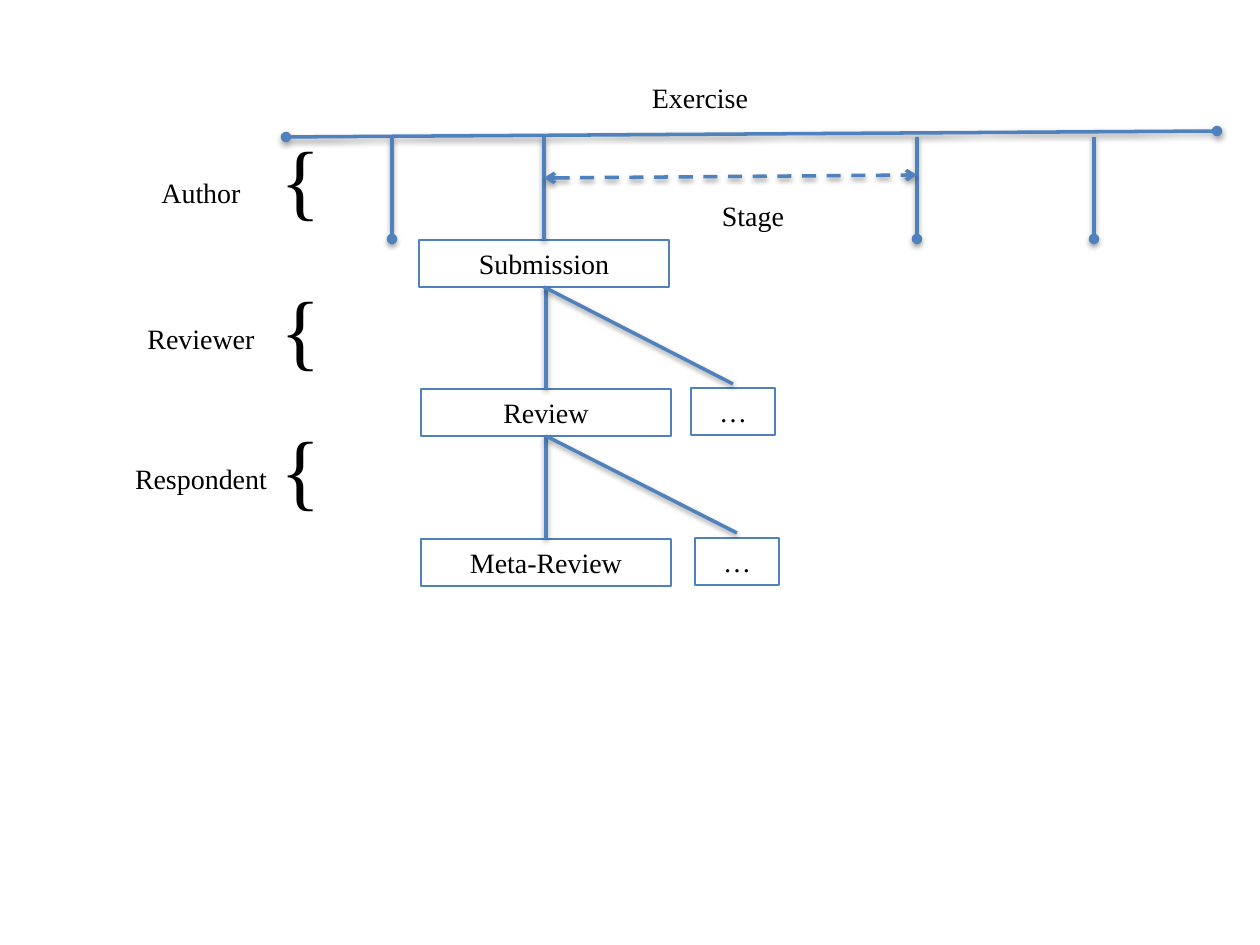
import dataclasses
import typing

import lxml.etree
import pptx
import pptx.dml.color
import pptx.enum.dml
import pptx.enum.shapes
import pptx.enum.text
import pptx.oxml
import pptx.oxml.ns
import pptx.util

EMU_PER_PX = 914400 / 126
FONT = "Times New Roman"
BLUE = "4F81BD"
BLACK = "000000"
LABEL_W, LABEL_H = 226, 47
BOX_W, MORE_W, BOX_H = 250, 84, 47
BRACE_X, BRACE_W, BRACE_H = 268, 60, 115
ROLE_X = 88
STEM_TOP, STEM_BOTTOM = 137, 239
TOP, BOTTOM = 0, 2

SHADOW = (
    f'<a:effectLst {pptx.oxml.ns.nsdecls("a")}>'
    '<a:outerShdw blurRad="40000" dist="20000" dir="5400000" rotWithShape="0">'
    f'<a:srgbClr val="{BLACK}"><a:alpha val="38000"/></a:srgbClr>'
    '</a:outerShdw></a:effectLst>'
)


@dataclasses.dataclass
class Label:
    text: str
    x: int
    y: int
    w: int = LABEL_W
    h: int = LABEL_H
    size: int = 16


@dataclasses.dataclass
class Box:
    text: str
    x: int
    y: int
    w: int = BOX_W


@dataclasses.dataclass
class Line:
    x1: int
    y1: int
    x2: int
    y2: int
    head: str = ""
    tail: str = ""
    dashed: bool = False
    begin: str = ""  # box whose bottom the line leaves
    end: str = ""  # box whose top the line reaches


LABELS = [Label("Exercise", 587, 74), Label("Stage", 640, 192)]
for role, role_y, brace_y in [("Author", 169, 120), ("Reviewer", 315, 270), ("Respondent", 455, 410)]:
    LABELS += [
        Label(role, ROLE_X, role_y),
        Label("{", BRACE_X, brace_y, BRACE_W, BRACE_H, 48),
    ]

BOXES = {
    "submission": Box("Submission", 419, 240),
    "review": Box("Review", 421, 389),
    "meta": Box("Meta-Review", 421, 539),
    "more reviews": Box("…", 691, 388, MORE_W),
    "more metas": Box("…", 695, 538, MORE_W),
}

LINES = [
    Line(286, 137, 1217, 131, head="oval", tail="oval"),
    *[Line(x, STEM_TOP, x, STEM_BOTTOM, tail="oval") for x in (392, 917, 1094)],
    Line(544, STEM_TOP, 544, STEM_BOTTOM, end="submission"),
    Line(544, 178, 917, 175, head="arrow", tail="arrow", dashed=True),
    Line(546, 287, 546, 389, end="review"),
    Line(546, 436, 546, 539, begin="review", end="meta"),
    Line(544, 287, 733, 384, begin="submission"),
    Line(546, 436, 737, 533, begin="review"),
]


def px(*values: int) -> list[pptx.util.Emu]:
    return [pptx.util.Emu(round(v * EMU_PER_PX)) for v in values]


def rgb(color: str) -> pptx.dml.color.RGBColor:
    return pptx.dml.color.RGBColor.from_string(color)


def set_text(s: typing.Any, text: str, size: int) -> None:
    tf = s.text_frame
    tf.text = text
    tf.word_wrap = True
    tf.auto_size = pptx.enum.text.MSO_AUTO_SIZE.SHAPE_TO_FIT_TEXT
    p = tf.paragraphs[0]
    p.alignment = pptx.enum.text.PP_ALIGN.CENTER
    font = p.runs[0].font
    font.name = FONT
    font.size = pptx.util.Pt(size)
    font.color.rgb = rgb(BLACK)


def add_label(shapes: typing.Any, label: Label) -> None:
    s = shapes.add_textbox(*px(label.x, label.y, label.w, label.h))
    set_text(s, label.text, label.size)


def add_box(shapes: typing.Any, box: Box) -> typing.Any:
    s = shapes.add_shape(
        pptx.enum.shapes.MSO_SHAPE.RECTANGLE, *px(box.x, box.y, box.w, BOX_H)
    )
    s.shadow.inherit = False
    s.fill.background()
    s.line.color.rgb = rgb(BLUE)
    s.line.width = pptx.util.Pt(0.75)
    set_text(s, box.text, 16)
    return s


def add_line(shapes: typing.Any, line: Line, boxes: dict[str, typing.Any]) -> None:
    s = shapes.add_connector(
        pptx.enum.shapes.MSO_CONNECTOR.STRAIGHT, *px(line.x1, line.y1, line.x2, line.y2)
    )
    if line.begin:
        s.begin_connect(boxes[line.begin], BOTTOM)
    if line.end:
        s.end_connect(boxes[line.end], TOP)
    s.line.color.rgb = rgb(BLUE)
    s.line.width = pptx.util.Pt(2)
    if line.dashed:
        s.line.dash_style = pptx.enum.dml.MSO_LINE.DASH
    ln = s.line._get_or_add_ln()
    for tag, kind in (("a:headEnd", line.head), ("a:tailEnd", line.tail)):
        if kind:
            lxml.etree.SubElement(ln, pptx.oxml.ns.qn(tag), type=kind)
    s._element.spPr.append(pptx.oxml.parse_xml(SHADOW))


def main() -> None:
    prs = pptx.Presentation()
    prs.slide_width, prs.slide_height = px(1260, 945)
    shapes = prs.slides.add_slide(prs.slide_layouts[6]).shapes
    boxes = {name: add_box(shapes, box) for name, box in BOXES.items()}
    for line in LINES:
        add_line(shapes, line, boxes)
    for label in LABELS:
        add_label(shapes, label)
    prs.save("out.pptx")


if __name__ == "__main__":
    main()
